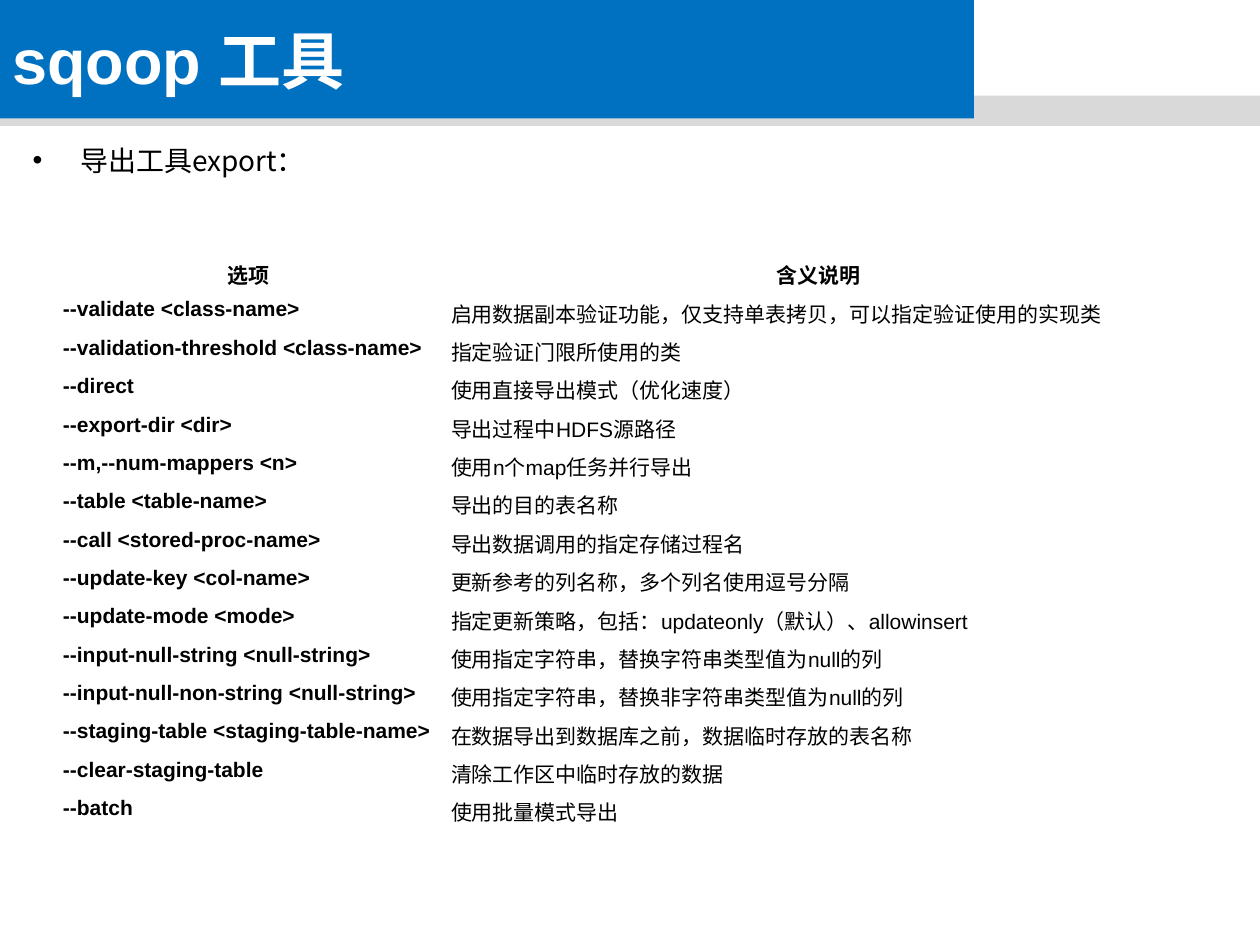
from lxml.etree import SubElement
from pptx import Presentation
from pptx.dml.color import RGBColor
from pptx.enum.shapes import MSO_SHAPE
from pptx.enum.text import MSO_ANCHOR, PP_ALIGN
from pptx.oxml.ns import qn
from pptx.util import Inches, Pt

LATIN = "Arial"
CJK = "Noto Sans CJK SC"
OPTIONS = [
    ("选项", "含义说明"),
    ("--validate <class-name>", "启用数据副本验证功能，仅支持单表拷贝，可以指定验证使用的实现类"),
    ("--validation-threshold <class-name>", "指定验证门限所使用的类"),
    ("--direct", "使用直接导出模式（优化速度）"),
    ("--export-dir <dir>", "导出过程中HDFS源路径"),
    ("--m,--num-mappers <n>", "使用n个map任务并行导出"),
    ("--table <table-name>", "导出的目的表名称"),
    ("--call <stored-proc-name>", "导出数据调用的指定存储过程名"),
    ("--update-key <col-name>", "更新参考的列名称，多个列名使用逗号分隔"),
    ("--update-mode <mode>", "指定更新策略，包括：updateonly（默认）、allowinsert"),
    ("--input-null-string <null-string>", "使用指定字符串，替换字符串类型值为null的列"),
    ("--input-null-non-string <null-string>", "使用指定字符串，替换非字符串类型值为null的列"),
    ("--staging-table <staging-table-name>", "在数据导出到数据库之前，数据临时存放的表名称"),
    ("--clear-staging-table", "清除工作区中临时存放的数据"),
    ("--batch", "使用批量模式导出"),
]


def rgb(value):
    return RGBColor.from_string(value)


def write(frame, text, size=12, font=LATIN, color="000000", bold=False, align=PP_ALIGN.LEFT):
    paragraph = frame.paragraphs[0]
    paragraph.alignment = align
    run = paragraph.add_run()
    run.text = text
    run.font.size = Pt(size)
    run.font.name = font
    run.font.bold = bold
    run.font.color.rgb = rgb(color)
    SubElement(run.font._element, qn("a:ea"), typeface=CJK)
    return paragraph


def add_band(slide, left, top, width, height, color):
    band = slide.shapes.add_shape(
        MSO_SHAPE.RECTANGLE, Inches(left), Inches(top), Inches(width), Inches(height))
    band.shadow.inherit = False
    band.fill.solid()
    band.fill.fore_color.rgb = rgb(color)
    band.line.fill.background()
    return band


def add_bullet(slide, text):
    body = slide.shapes.add_textbox(Inches(0.16), Inches(1.09), Inches(9.61), Inches(5.55))
    body.text_frame.word_wrap = True
    paragraph = write(body.text_frame, text, size=16, font=CJK)
    paragraph.space_before = Pt(3.2)
    properties = paragraph._p.get_or_add_pPr()
    properties.set("marL", str(Inches(0.38)))
    properties.set("indent", str(-Inches(0.38)))
    SubElement(properties, qn("a:buFont"), typeface=LATIN)
    SubElement(properties, qn("a:buChar"), char="•")


def add_options(slide, options):
    table = slide.shapes.add_table(
        len(options), 2, Inches(0.43), Inches(2.06), Inches(9.06), Inches(4.57)).table
    table.first_row = False
    table.horz_banding = False
    for column, width in zip(table.columns, (3.08, 5.98)):
        column.width = Inches(width)
    for row, texts in enumerate(options):
        for column, text in enumerate(texts):
            cell = table.cell(row, column)
            cell.fill.background()
            cell.margin_left = cell.margin_right = Inches(0.07)
            cell.margin_top = cell.margin_bottom = 0
            header = row == 0
            write(cell.text_frame, text, bold=header or column == 0,
                  align=PP_ALIGN.CENTER if header else PP_ALIGN.LEFT)


def main():
    deck = Presentation()
    deck.slide_width, deck.slide_height = Inches(10), Inches(7.5)
    slide = deck.slides.add_slide(deck.slide_layouts[6])
    add_band(slide, 0, 0.76, 10, 0.24, "D9D9D9")
    title = add_band(slide, 0, 0, 7.73, 0.94, "0070C0")
    title.text_frame.vertical_anchor = MSO_ANCHOR.MIDDLE
    write(title.text_frame, "sqoop 工具", size=36, color="FFFFFF", bold=True)
    add_bullet(slide, "导出工具export：")
    add_options(slide, OPTIONS)
    deck.save("out.pptx")


if __name__ == "__main__":
    main()
